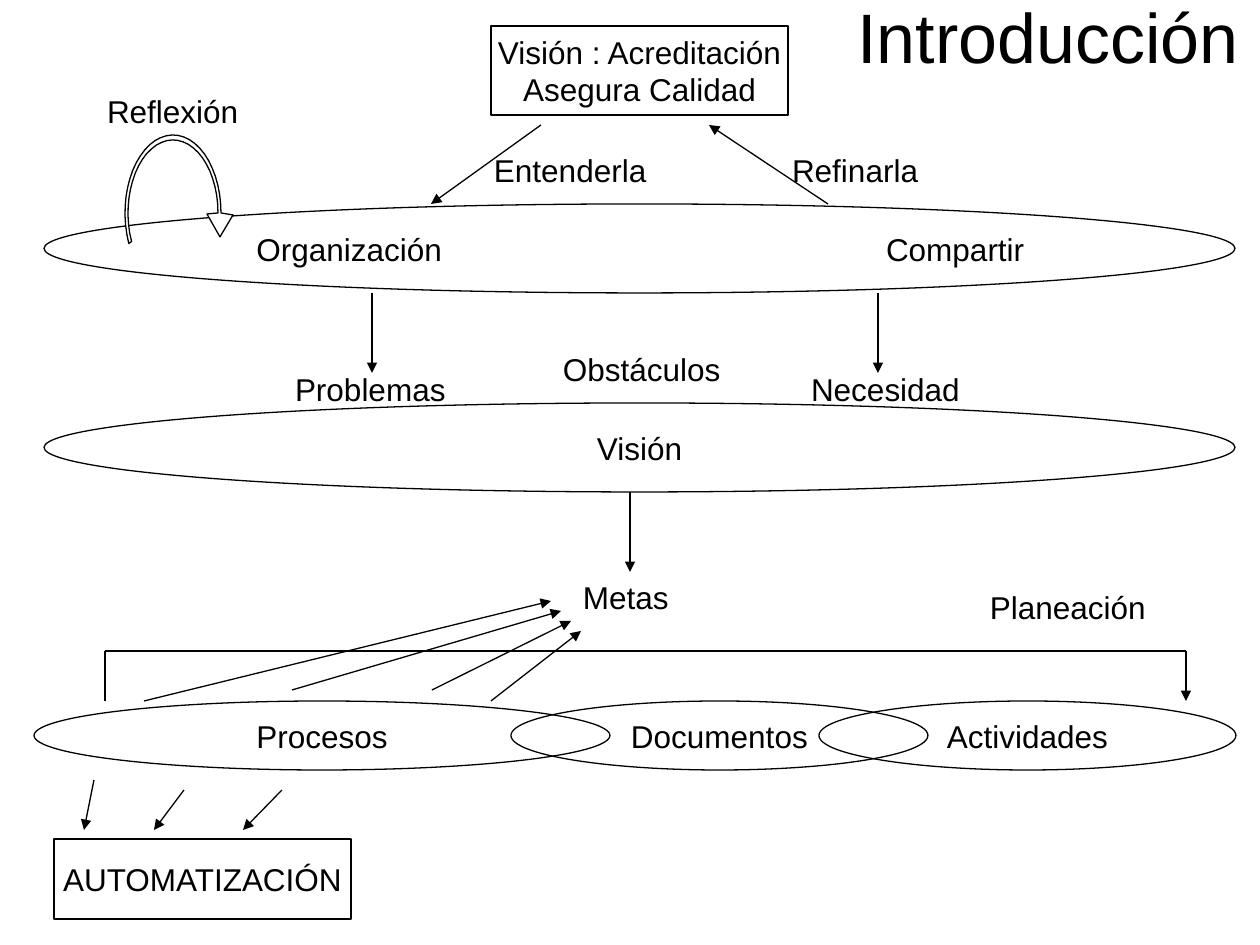
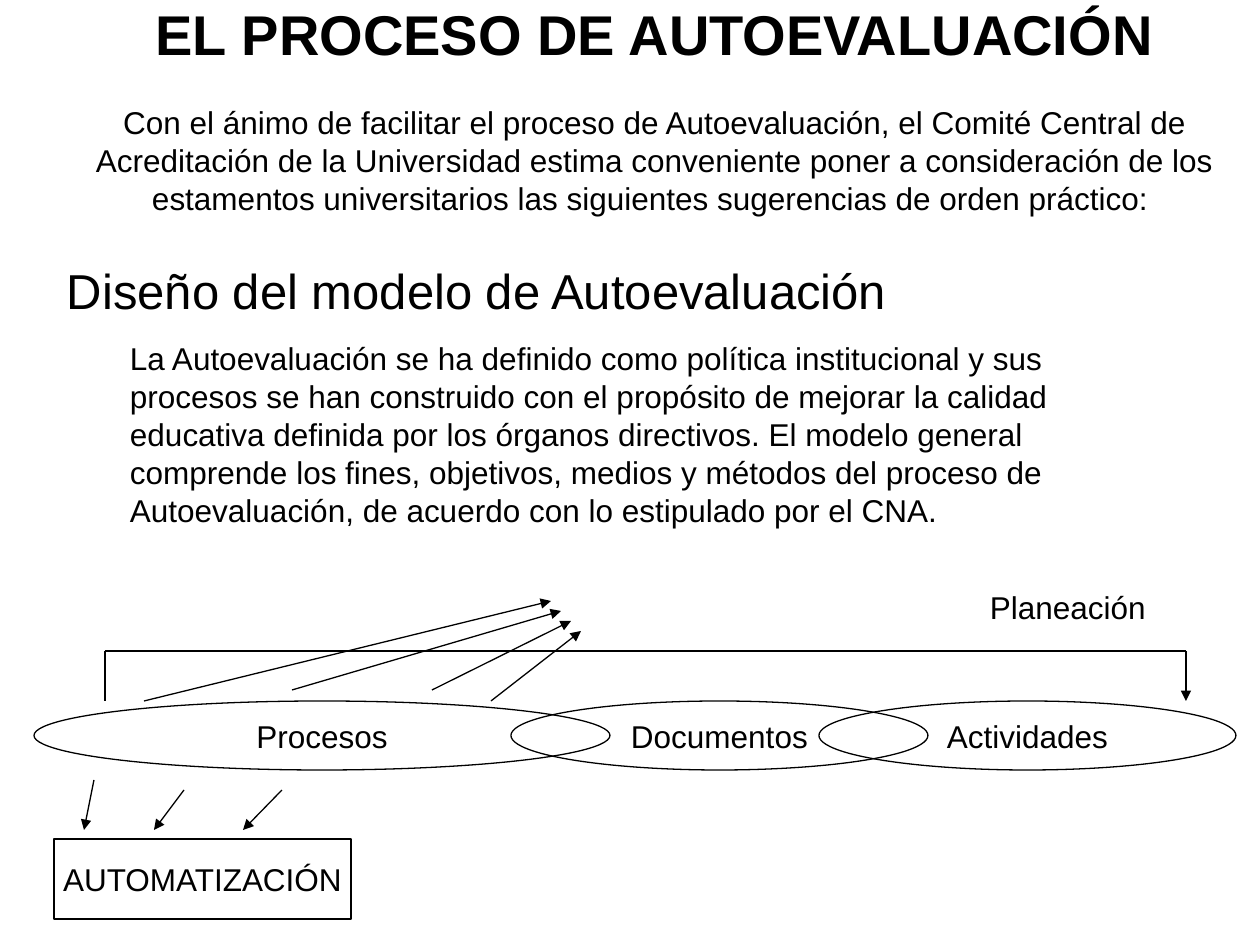
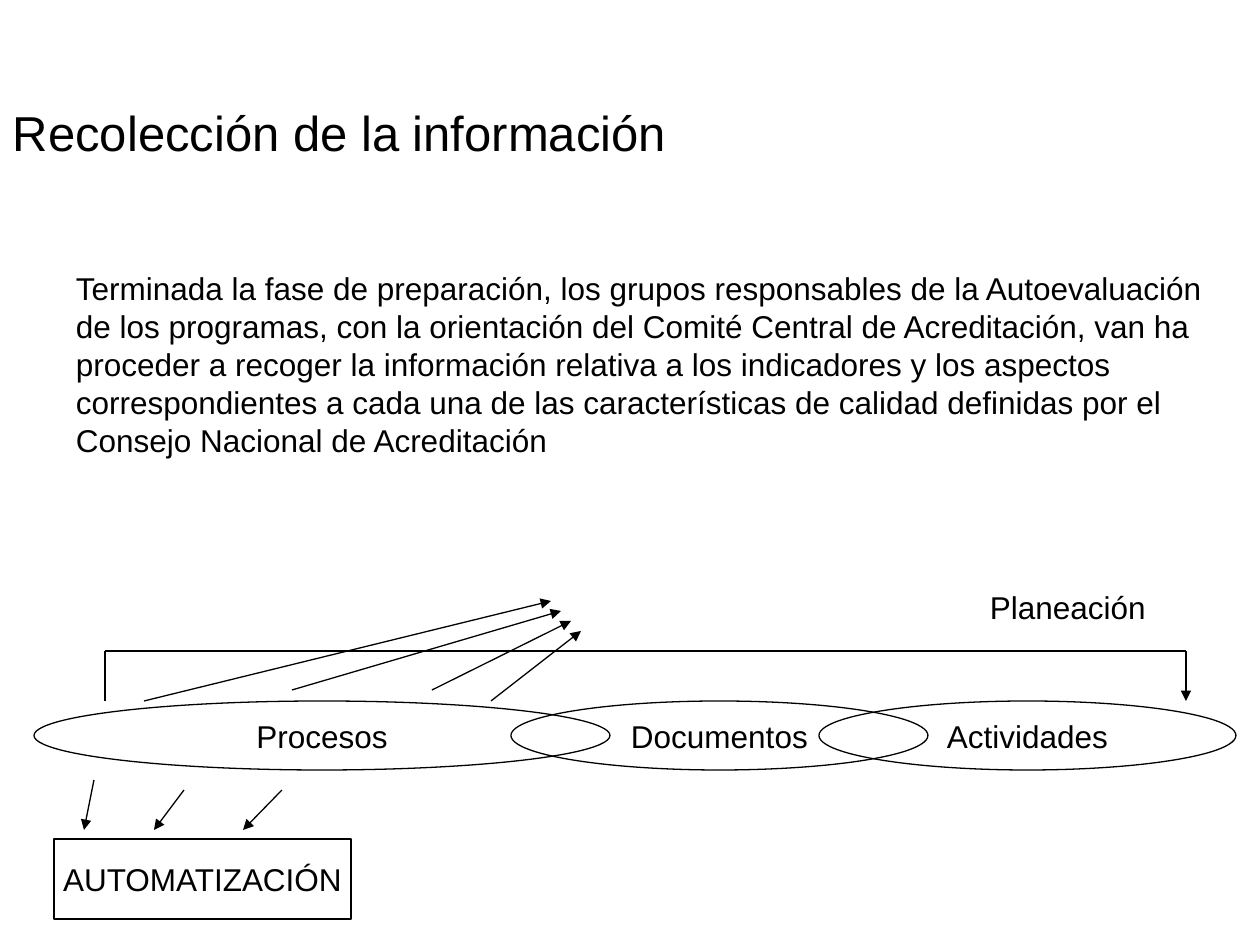
from math import cos, radians, sin

from lxml import etree
from pptx import Presentation, util as u
from pptx.dml.color import RGBColor
from pptx.enum import shapes, text
from pptx.oxml.ns import qn

PX = u.Inches(1) / 126
BLACK, WHITE = "000000", "FFFFFF"
FONT = "Arial"
INSETS = (13, 6, 13, 6)
LEFT, CENTER = text.PP_ALIGN.LEFT, text.PP_ALIGN.CENTER
TOP, MIDDLE = text.MSO_ANCHOR.TOP, text.MSO_ANCHOR.MIDDLE
RECTANGLE, OVAL = shapes.MSO_SHAPE.RECTANGLE, shapes.MSO_SHAPE.OVAL

WIDE_OVAL = (1191, 89)
LABEL = (198, 50)
PLANNING_BOX = (34, 582, 1202, 338)


def px(length):
    return u.Emu(round(length * PX))


def color(hex_string):
    return RGBColor.from_string(hex_string)


def inside(box, x, y, *size):
    """Move a position from region coordinates to slide coordinates."""
    return (box[0] + x, box[1] + y, *size)


def write(frame, content, size=18, bold=False, align=LEFT, before=0, indent=0,
          first=True):
    paragraph = frame.paragraphs[0] if first else frame.add_paragraph()
    paragraph.alignment = align
    properties = paragraph._p.get_or_add_pPr()
    properties.set("marL", str(px(indent)))
    properties.set("indent", "0")
    if before:
        paragraph.space_before = u.Pt(before)
    run = paragraph.add_run()
    run.text = content
    run.font.name = FONT
    run.font.size = u.Pt(size)
    run.font.bold = bold
    run.font.color.rgb = color(BLACK)


def set_frame(shape, insets=INSETS, anchor=TOP, wrap=True):
    frame = shape.text_frame
    frame.word_wrap = wrap
    frame.vertical_anchor = anchor
    (frame.margin_left, frame.margin_top,
     frame.margin_right, frame.margin_bottom) = map(px, insets)
    return frame


def add_text(slide, box, insets=INSETS, anchor=TOP):
    return set_frame(slide.shapes.add_textbox(*map(px, box)), insets, anchor)


def add_label(slide, box, content):
    write(add_text(slide, box), content)


def outline(shape):
    shape.shadow.inherit = False
    shape.line.color.rgb = color(BLACK)
    shape.line.width = u.Pt(0.75)


def add_node(slide, kind, box, *lines):
    shape = slide.shapes.add_shape(kind, *map(px, box))
    outline(shape)
    shape.fill.background()
    frame = set_frame(shape, anchor=MIDDLE, wrap=False)
    for number, line in enumerate(lines):
        write(frame, line, align=CENTER, first=number == 0)
    return shape


def add_line(slide, start, end, arrow=True):
    line = slide.shapes.add_connector(
        shapes.MSO_CONNECTOR.STRAIGHT, *map(px, (*start, *end)))
    line.line.color.rgb = color(BLACK)
    line.line.width = u.Pt(0.75)
    if arrow:
        etree.SubElement(line.line._get_or_add_ln(), qn("a:tailEnd"), type="triangle")
    etree.SubElement(line._element.spPr, qn("a:effectLst"))


def add_loop_arrow(slide, center):
    """Thin arc over the organization, ending in a downward arrowhead."""
    def arc(radius_x, radius_y, angles):
        return [(center[0] + radius_x * cos(radians(angle)),
                 center[1] - radius_y * sin(radians(angle))) for angle in angles]

    head = [inside(center, *point) for point in ((60, 2), (47, 24), (34, 1))]
    outlined = arc(45, 73, range(0, 204, 7)) + arc(48, 78, range(203, -1, -7)) + head
    # Tenths of a px keep the arc smooth
    points = [(10 * x, 10 * y) for x, y in outlined]
    builder = slide.shapes.build_freeform(*points[0], scale=PX / 10)
    builder.add_line_segments(points[1:], close=True)
    loop = builder.convert_to_shape()
    outline(loop)
    loop.fill.solid()
    loop.fill.fore_color.rgb = color(WHITE)


def add_organization(slide, box):
    # Organization oval, with its first word at the left
    oval = add_node(slide, OVAL, inside(box, 0, 178, *WIDE_OVAL))
    write(set_frame(oval, (38, 6, 0, 6), MIDDLE), "Organización")

    # Accreditation vision and its two arrows
    add_node(slide, RECTANGLE, inside(box, 447, 0, 297, 89),
             "Visión : Acreditación", "Asegura Calidad")
    add_line(slide, inside(box, 497, 99), inside(box, 387, 178))
    add_line(slide, inside(box, 784, 178), inside(box, 665, 99))
    add_loop_arrow(slide, inside(box, 129, 187))

    # Labels
    for content, x, y in (("Compartir", 829, 198),
                          ("Entenderla", 437, 119), ("Refinarla", 735, 119),
                          ("Reflexión", 50, 60), ("Obstáculos", 506, 318),
                          ("Problemas", 238, 338), ("Necesidad", 754, 338)):
        add_label(slide, inside(box, x, y, *LABEL), content)
    for x in (328, 834):
        add_line(slide, inside(box, x, 267), inside(box, x, 347))


def add_vision(slide, box):
    add_node(slide, OVAL, inside(box, 0, 0, *WIDE_OVAL), "Visión")
    add_line(slide, inside(box, 586, 89), inside(box, 586, 169))
    add_label(slide, inside(box, 526, 169, 120, 50), "Metas")


def add_planning(slide, box):
    add_node(slide, RECTANGLE, inside(box, 20, 257, 297, 80), "AUTOMATIZACIÓN")
    add_label(slide, inside(box, 943, 0, 189, 50), "Planeación")

    # Overlapping ovals
    for content, x, width in (("Actividades", 785, 417), ("Documentos", 477, 417),
                              ("Procesos", 0, 576)):
        add_node(slide, OVAL, inside(box, x, 119, width, 69), content)

    # Arrows up to the goals, with ends stepping down evenly
    for step, start in enumerate(((110, 119), (258, 108), (398, 108), (457, 119))):
        add_line(slide, inside(box, *start),
                 inside(box, 517 + 10 * step, 19 + 10 * step))

    # Arrows down to automation
    for x, y, end_x in ((60, 198, 50), (150, 208, 120), (248, 208, 209)):
        add_line(slide, inside(box, x, y), inside(box, end_x, 248))

    # Planning bracket
    left, right = 71, 1152
    add_line(slide, inside(box, right, 69), inside(box, right, 119))
    add_line(slide, inside(box, right, 69), inside(box, left, 69), arrow=False)
    add_line(slide, inside(box, left, 69), inside(box, left, 119), arrow=False)


def add_section(slide, box, heading, body, gap):
    frame = add_text(slide, box)
    write(frame, heading, size=28)
    write(frame, body, indent=63, before=gap, first=False)


def introduction_slide(slide):
    add_organization(slide, (44, 26, 1191, 387))
    add_vision(slide, (44, 403, 1191, 219))
    add_planning(slide, PLANNING_BOX)
    title = add_text(slide, (799, -6, 498, 155), insets=(13, 0, 13, 0))
    write(title, "Introducción", size=40, align=CENTER)


def process_slide(slide):
    add_planning(slide, PLANNING_BOX)
    title = add_text(slide, (0, -8, 1229, 226), insets=(93, 6, 13, 0), anchor=MIDDLE)
    write(title, "EL PROCESO DE AUTOEVALUACIÓN", size=32, bold=True, align=CENTER)
    write(title, "Con el ánimo de facilitar el proceso de Autoevaluación, el Comité "
          "Central de Acreditación de la Universidad estima conveniente poner a "
          "consideración de los estamentos universitarios las siguientes "
          "sugerencias de orden práctico: ", align=CENTER, before=21, first=False)
    add_section(
        slide, (54, 255, 1131, 281), "Diseño del modelo de Autoevaluación",
        "La Autoevaluación se ha definido como política institucional y sus procesos "
        "se han construido con el propósito de mejorar la calidad educativa definida "
        "por los órganos directivos. El modelo general comprende los fines, objetivos, "
        "medios y métodos del proceso de Autoevaluación, de acuerdo con lo estipulado "
        "por el CNA.", gap=11.2)


def collection_slide(slide):
    add_planning(slide, PLANNING_BOX)
    add_section(
        slide, (0, 96, 1235, 370), "Recolección de la información",
        "Terminada la fase de preparación, los grupos responsables de la "
        "Autoevaluación de los programas, con la orientación del Comité Central de "
        "Acreditación, van ha proceder a recoger la información relativa a los "
        "indicadores y los aspectos correspondientes a cada una de las "
        "características de calidad definidas por el Consejo Nacional de "
        "Acreditación", gap=62)


def main():
    presentation = Presentation()
    presentation.slide_width, presentation.slide_height = px(1260), px(945)
    for build in (introduction_slide, process_slide, collection_slide):
        build(presentation.slides.add_slide(presentation.slide_layouts[6]))
    presentation.save("out.pptx")


if __name__ == "__main__":
    main()
